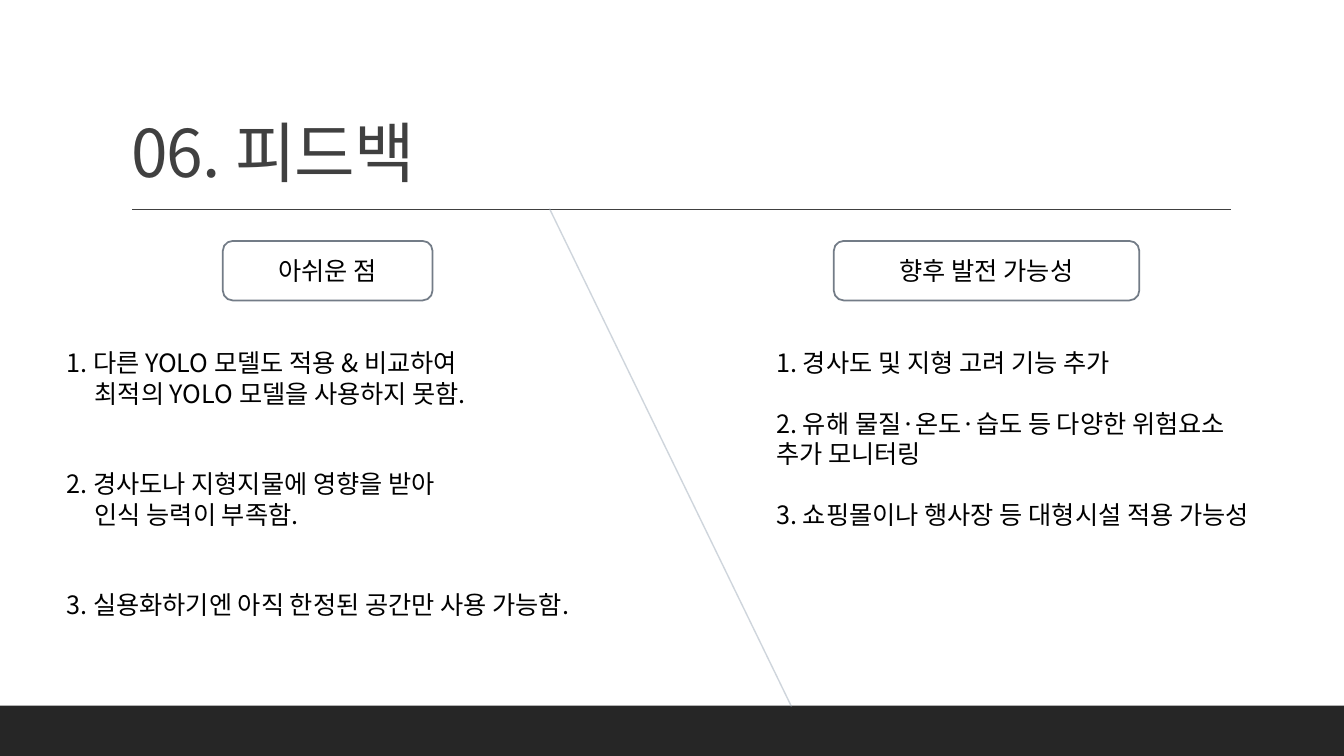
"""Build the feedback slide with its shortcomings and future possibilities."""
import dataclasses

import pptx
import pptx.dml.color
import pptx.enum.shapes
import pptx.enum.text
import pptx.oxml.ns
import pptx.util
from lxml import etree

ALIGN = pptx.enum.text.PP_ALIGN
ANCHOR = pptx.enum.text.MSO_ANCHOR
SHAPES = pptx.enum.shapes.MSO_SHAPE
qn = pptx.oxml.ns.qn


@dataclasses.dataclass(frozen=True)
class Theme:
    font: str = "Noto Sans CJK KR"
    white: str = "FFFFFF"
    text: str = "000000"
    title: str = "404040"
    bar: str = "262626"
    outline: str = "737C87"
    divider: str = "9BA8B7"
    title_size: int = 47
    text_size: int = 18
    line_pitch: float = 21.6


def px(length):
    return pptx.util.Emu(length * 9144)


def rgb(value):
    return pptx.dml.color.RGBColor.from_string(value)


def apply(target, values):
    for name, value in values.items():
        setattr(target, name, value)


class SlideBuilder:
    def __init__(self, slide, theme):
        self.slide = slide
        self.theme = theme

    def place(self, shape, box):
        apply(shape, dict(zip(("left", "top", "width", "height"), map(px, box))))

    def add_text(self, paragraph, text, size, color, spacing, **layout):
        run = paragraph.add_run()
        run.text = text
        apply(run.font, {"name": self.theme.font, "size": pptx.util.Pt(size)})
        run.font.color.rgb = rgb(color)
        properties = run.font._element
        etree.SubElement(properties, qn("a:ea"), typeface=self.theme.font)
        apply(paragraph, {"line_spacing": spacing, "space_before": pptx.util.Pt(0), **layout})
        return properties

    def title(self, text, box):
        shape = self.slide.shapes.title
        self.place(shape, box)
        apply(shape.text_frame, {
            "vertical_anchor": ANCHOR.BOTTOM,
            "margin_bottom": 0,
            "auto_size": pptx.enum.text.MSO_AUTO_SIZE.NONE,
        })
        properties = self.add_text(shape.text_frame.paragraphs[0], text, self.theme.title_size,
                                   self.theme.title, 0.9, alignment=ALIGN.LEFT)
        properties.set("spc", "-50")

    def body(self, index, items, box, gap_lines, indent=0):
        shape = self.slide.placeholders[index]
        self.place(shape, box)
        frame = shape.text_frame
        apply(frame, {"auto_size": pptx.enum.text.MSO_AUTO_SIZE.NONE, "word_wrap": True})
        pitch = self.theme.line_pitch
        lines = [(item, line) for item, lines in enumerate(items) for line in enumerate(lines)]
        for number, (item, (row, text)) in enumerate(lines):
            paragraph = frame.add_paragraph() if number else frame.paragraphs[0]
            properties = paragraph._p.get_or_add_pPr()
            properties.set("marL", str(px(indent if row else 0)))
            properties.set("indent", "0")
            etree.SubElement(properties, qn("a:buNone"))
            gap = pitch * gap_lines if item and not row else 0
            self.add_text(paragraph, text, self.theme.text_size, self.theme.text,
                          pptx.util.Pt(pitch), space_before=pptx.util.Pt(gap))

    def block(self, kind, box, fill, outline=None):
        shape = self.slide.shapes.add_shape(kind, *map(px, box))
        shape.shadow.inherit = False
        shape.fill.solid()
        shape.fill.fore_color.rgb = rgb(fill)
        if outline:
            shape.line.color.rgb = rgb(outline)
            shape.line.width = pptx.util.Pt(1.25)
        else:
            shape.line.fill.background()
        return shape

    def heading(self, text, box):
        shape = self.block(SHAPES.ROUNDED_RECTANGLE, box, self.theme.white, self.theme.outline)
        shape.text_frame.vertical_anchor = ANCHOR.MIDDLE
        self.add_text(shape.text_frame.paragraphs[0], text, self.theme.text_size, self.theme.text,
                      pptx.util.Pt(self.theme.line_pitch), alignment=ALIGN.CENTER)

    def line(self, start, end, color, opacity=100):
        connector = self.slide.shapes.add_connector(
            pptx.enum.shapes.MSO_CONNECTOR.STRAIGHT, *map(px, start + end))
        connector.line.color.rgb = rgb(color)
        connector.line.width = pptx.util.Pt(1)
        properties = connector._element.spPr
        if opacity < 100:
            fill = properties.find(".//" + qn("a:srgbClr"))
            etree.SubElement(fill, qn("a:alpha"), val=str(opacity * 1000))
        etree.SubElement(properties, qn("a:effectLst"))


def main():
    presentation = pptx.Presentation()
    apply(presentation, {"slide_width": px(1333), "slide_height": px(750)})
    theme = Theme()
    builder = SlideBuilder(presentation.slides.add_slide(presentation.slide_layouts[3]), theme)

    builder.block(SHAPES.RECTANGLE, (0, 700, 1333, 50), theme.bar)
    builder.line((131, 208), (1221, 208), theme.title)
    builder.title("06. 피드백", (120, 31, 1100, 159))
    builder.line((545, 207), (785, 701), theme.divider, opacity=48)

    builder.heading("아쉬운 점", (221, 239, 208, 59))
    builder.heading("향후 발전 가능성", (827, 239, 303, 59))

    shortcomings = [
        ["1. 다른 YOLO 모델도 적용 & 비교하여", "최적의 YOLO 모델을 사용하지 못함."],
        ["2. 경사도나 지형지물에 영향을 받아", "인식 능력이 부족함."],
        ["3. 실용화하기엔 아직 한정된 공간만 사용 가능함."],
    ]
    possibilities = [
        ["1. 경사도 및 지형 고려 기능 추가"],
        ["2. 유해 물질·온도·습도 등 다양한 위험요소", "추가 모니터링"],
        ["3. 쇼핑몰이나 행사장 등 대형시설 적용 가능성"],
    ]
    builder.body(1, shortcomings, (56, 340, 588, 374), gap_lines=2, indent=28)
    builder.body(2, possibilities, (760, 340, 540, 222), gap_lines=1)

    presentation.save("out.pptx")


if __name__ == "__main__":
    main()
